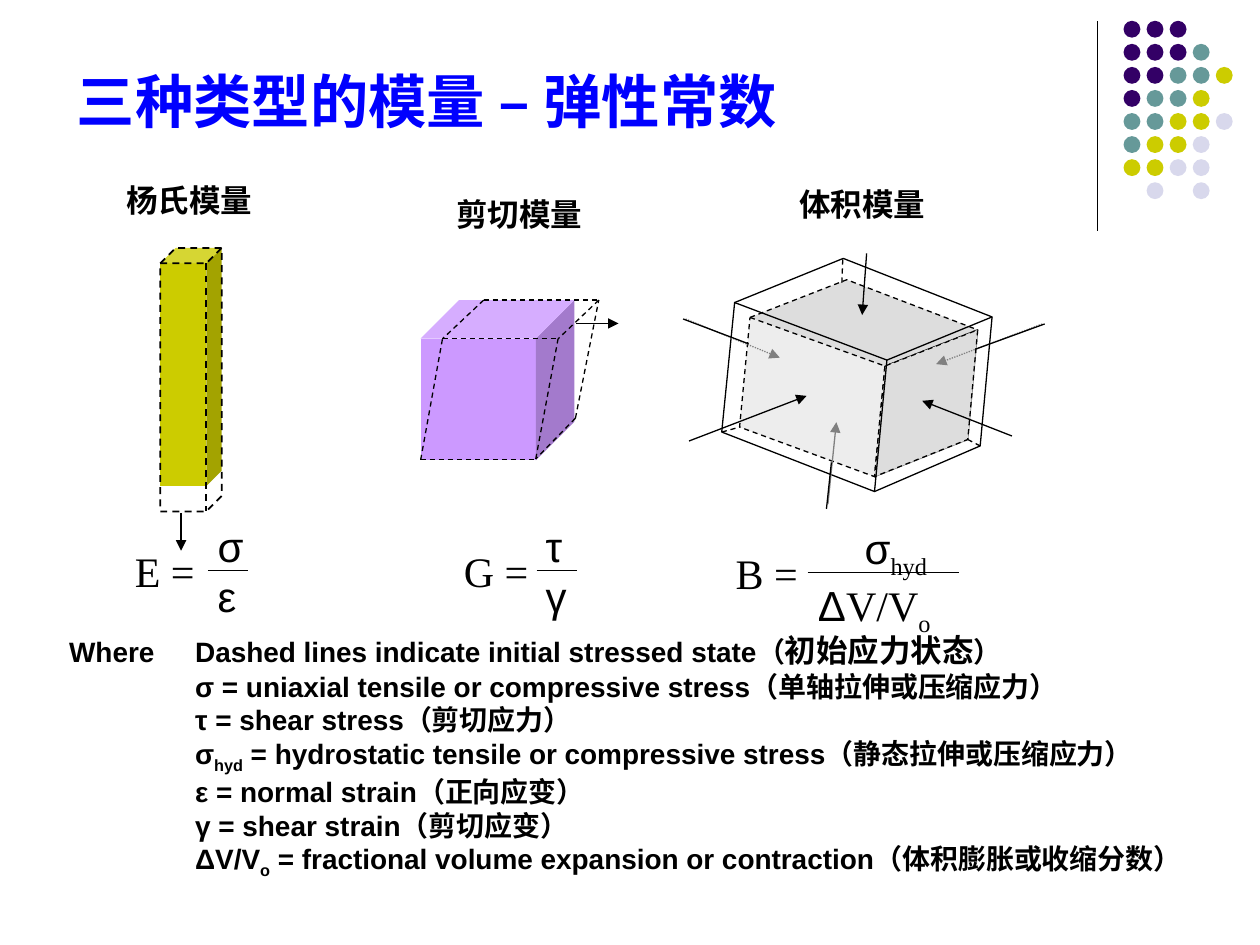
"""Build a slide on the three elastic moduli: Young's, shear and bulk."""
from lxml.etree import SubElement
from pptx import Presentation
from pptx.dml.color import RGBColor
from pptx.enum.dml import MSO_LINE_DASH_STYLE as Dash
from pptx.enum.shapes import MSO_CONNECTOR as Link, MSO_SHAPE as Shape
from pptx.enum.text import MSO_ANCHOR as Anchor, MSO_AUTO_SIZE as AutoSize, PP_ALIGN as Align
from pptx.oxml.ns import qn
from pptx.util import Cm, Pt

rgb = RGBColor.from_string
BLACK, GRAY, PALE = "000000", "808080", "DDDDDD"
SERIF = "Times New Roman"


def add_run(paragraph, text, size, font="Arial", bold=False, sub=False, colour=BLACK):
    """Append one formatted run to a paragraph."""
    run = paragraph.add_run()
    run.text = text
    run.font.size = Pt(size)
    run.font.name = font
    run.font.bold = bold
    run.font.color.rgb = rgb(colour)
    if sub:
        run._r.get_or_add_rPr().set("baseline", "-25000")


def set_stroke(line, colour=BLACK, dash=None, width=0.75):
    """Set the colour, dash and width of a line."""
    line.color.rgb = rgb(colour)
    line.width = Pt(width)
    if dash:
        line.dash_style = dash


deck = Presentation()
deck.slide_width, deck.slide_height = Cm(25.4), Cm(19.05)
slide = deck.slides.add_slide(deck.slide_layouts[1])
shapes = slide.shapes

dot_colours = {"P": "330066", "T": "669999", "Y": "CCCC00", "L": "D8D8EC"}
dot_rows = ["PPP", "PPPT", "PPTTY", "PTTY", "TTYYL", "TYYL", "YYLL", ".L.L"]
for row, letters in enumerate(dot_rows):
    for column, letter in enumerate(letters):
        if letter in dot_colours:
            dot = shapes.add_shape(Shape.OVAL, Cm(22.65 + 0.465 * column), Cm(0.42 + 0.465 * row),
                                   Cm(0.34), Cm(0.34))
            dot.shadow.inherit = False
            dot.fill.solid()
            dot.fill.fore_color.rgb = rgb(dot_colours[letter])
            dot.line.fill.background()

title = shapes.title
title.left, title.top, title.width, title.height = Cm(1.55), Cm(1.22), Cm(22.58), Cm(1.5)
heading = title.text_frame
heading.margin_left = heading.margin_right = heading.margin_top = heading.margin_bottom = 0
heading.vertical_anchor = Anchor.BOTTOM
heading.auto_size = AutoSize.NONE
heading.paragraphs[0].alignment = Align.LEFT
add_run(heading.paragraphs[0], "三种类型的模量 – 弹性常数", 33.3, bold=True, colour="0000FF")

modulus_names = [
    ("杨氏模量", 2.29, 3.64, 3.05, 0.76),
    ("剪切模量", 8.7, 3.93, 3.53, 1.42),
    ("体积模量", 14.91, 3.73, 4.95, 1.12),
]
for name, *place in modulus_names:
    frame = shapes.add_textbox(*map(Cm, place)).text_frame
    frame.word_wrap = True
    frame.margin_left = frame.margin_right = frame.margin_top = frame.margin_bottom = 0
    frame.paragraphs[0].alignment = Align.CENTER
    add_run(frame.paragraphs[0], name, 18, bold=True)

inner = {"A": (15.12, 6.4), "B": (17.84, 7.38), "C": (17.63, 9.61), "D": (14.91, 8.61),
         "E": (17.07, 5.64), "F": (19.71, 6.65), "G": (19.51, 8.86)}
outer = {"A": (14.81, 6.1), "B": (17.88, 7.26), "C": (17.63, 9.91), "D": (14.55, 8.71),
         "E": (17, 5.21), "F": (20, 6.39), "G": (19.76, 8.99)}
faces = [
    (inner, "AEFB", False, PALE, BLACK, Dash.DASH),
    (inner, "ABCD", True, PALE, BLACK, Dash.DASH),
    (inner, "FGC", False, PALE, GRAY, None),
    (inner, "BCGF", True, PALE, BLACK, Dash.DASH),
    (outer, "ABCD", True, None, BLACK, None),
    (outer, "AEFB", False, None, BLACK, None),
    (outer, "FGC", False, None, BLACK, None),
]
for box, letters, closed, fill, colour, dash in faces:
    corners = [(Cm(box[letter][0]), Cm(box[letter][1])) for letter in letters]
    builder = shapes.build_freeform(*corners[0])
    builder.add_line_segments(corners[1:], close=closed)
    face = builder.convert_to_shape()
    face.shadow.inherit = False
    set_stroke(face.line, colour, dash)
    if fill:
        face.fill.solid()
        face.fill.fore_color.rgb = rgb(fill)
    else:
        face.fill.background()
    if fill and letters == "ABCD":
        tint = face._element.spPr.find(qn("a:solidFill"))[0]
        SubElement(tint, qn("a:alpha")).set("val", "50000")

blocks = [
    ("CC99FF", 8.48, 6.05, 3.1, 3.23),
    ("CCCC00", 3.23, 5, 1.24, 4.8),
    (None, 3.23, 5, 1.24, 5.31),
]
for fill, *place in blocks:
    block = shapes.add_shape(Shape.CUBE, *map(Cm, place))
    block.shadow.inherit = False
    if fill:
        block.fill.solid()
        block.fill.fore_color.rgb = rgb(fill)
        block.line.fill.background()
    else:
        block.fill.background()
        set_stroke(block.line, dash=Dash.DASH, width=1)

plain_lines = [
    (22.12, 0.43, 22.12, 4.65),
    (19.66, 7.04, 21.06, 6.53), (15.09, 6.93, 13.77, 6.43), (16.76, 9.32, 16.66, 10.26),
    (4.19, 11.5, 5, 11.5), (10.82, 11.5, 11.63, 11.5), (16.28, 11.54, 19.33, 11.54),
]
dashed_lines = [outer[corner] + inner[corner] for corner in "DG"] + [
    (16.99, 5.23, 16.97, 5.72),
    (8.48, 9.27, 8.92, 6.83), (10.8, 9.25, 11.25, 6.83), (11.6, 8.43, 12.07, 6.05),
    (8.92, 6.83, 11.25, 6.83), (12.07, 6.05, 11.25, 6.83), (9.75, 6.05, 12.07, 6.05),
    (9.75, 6.05, 8.92, 6.83), (11.6, 8.43, 10.8, 9.25), (8.48, 9.27, 10.8, 9.27),
]
arrows = [
    (17.47, 5.11, 17.38, 6.35), (20.4, 8.79, 18.59, 8.08), (13.89, 8.89, 16.26, 7.98),
    (11.61, 6.52, 12.47, 6.52), (3.65, 10.34, 3.65, 11.1),
]
hidden_arrows = [(21.01, 6.53, 18.87, 7.34), (13.82, 6.43, 15.72, 7.21)]
rear_arrow = [(16.69, 10.16, 16.86, 8.51)]
line_groups = [
    (hidden_arrows, GRAY, Dash.ROUND_DOT, True),
    (rear_arrow, GRAY, None, True),
    (plain_lines, BLACK, None, False),
    (dashed_lines, BLACK, Dash.DASH, False),
    (arrows, BLACK, None, True),
]
for group, colour, dash, pointed in line_groups:
    for ends in group:
        link = shapes.add_connector(Link.STRAIGHT, *map(Cm, ends))
        set_stroke(link.line, colour, dash)
        if pointed:
            SubElement(link.line._get_or_add_ln(), qn("a:tailEnd")).set("type", "triangle")
        SubElement(link._element.spPr, qn("a:effectLst"))

equations = [
    ([[("E =", SERIF, False)]], 0, False, 2.47, 10.87, 1.93, 1.27),
    ([[("σ", "Arial", False)], [("ε", "Arial", False)]], 0, True, 4.14, 10.36, 1.09, 2.29),
    ([[("G =", SERIF, False)]], 0, False, 9.1, 10.87, 2.01, 1.27),
    ([[("τ", "Arial", False)], [("γ", "Arial", False)]], 0, True, 10.75, 10.36, 1.09, 2.29),
    ([[("B =", SERIF, False)]], 0, False, 14.58, 10.92, 1.96, 1.27),
    ([[("σ", "Arial", False), ("hyd", SERIF, True)],
      [("Δ", "Arial", False), ("V/V", SERIF, False), ("o", SERIF, True)]],
     0.94, True, 16.24, 10.41, 4.01, 2.57),
]
for rows, indent, wrap, *place in equations:
    frame = shapes.add_textbox(*map(Cm, place)).text_frame
    frame.word_wrap = wrap
    for index, runs in enumerate(rows):
        paragraph = frame.add_paragraph() if index else frame.paragraphs[0]
        if indent and index == 0:
            paragraph._p.get_or_add_pPr().set("marL", str(Cm(indent)))
        for text, font, sub in runs:
            add_run(paragraph, text, 24, font, sub=sub)

definitions = [
    [("Where\tDashed lines indicate initial stressed state（", 16, False),
     ("初始应力状态", 18, False), ("）", 16, False)],
    [("σ = uniaxial tensile or compressive stress（单轴拉伸或压缩应力）", 16, False)],
    [("τ = shear stress（剪切应力）", 16, False)],
    [("σ", 16, False), ("hyd", 16, True),
     (" = hydrostatic tensile or compressive stress（静态拉伸或压缩应力）", 16, False)],
    [("ε = normal strain（正向应变）", 16, False)],
    [("γ = shear strain（剪切应变）", 16, False)],
    [("ΔV/V", 16, False), ("o", 16, True),
     (" = fractional volume expansion or contraction（体积膨胀或收缩分数）", 16, False)],
]
legend = slide.placeholders[1]
legend.left, legend.top, legend.width, legend.height = Cm(1.14), Cm(12.6), Cm(23.55), Cm(5.28)
legend.text_frame.auto_size = AutoSize.NONE
legend.text_frame.vertical_anchor = Anchor.TOP
for index, runs in enumerate(definitions):
    paragraph = legend.text_frame.add_paragraph() if index else legend.text_frame.paragraphs[0]
    paragraph.space_before = Pt(0)
    layout = paragraph._p.get_or_add_pPr()
    layout.set("marL", str(Cm(2.54)))
    layout.set("indent", "0" if index else str(Cm(-2.54)))
    SubElement(layout, qn("a:buNone"))
    for text, size, sub in runs:
        add_run(paragraph, text, size, bold=True, sub=sub)

deck.save("out.pptx")
